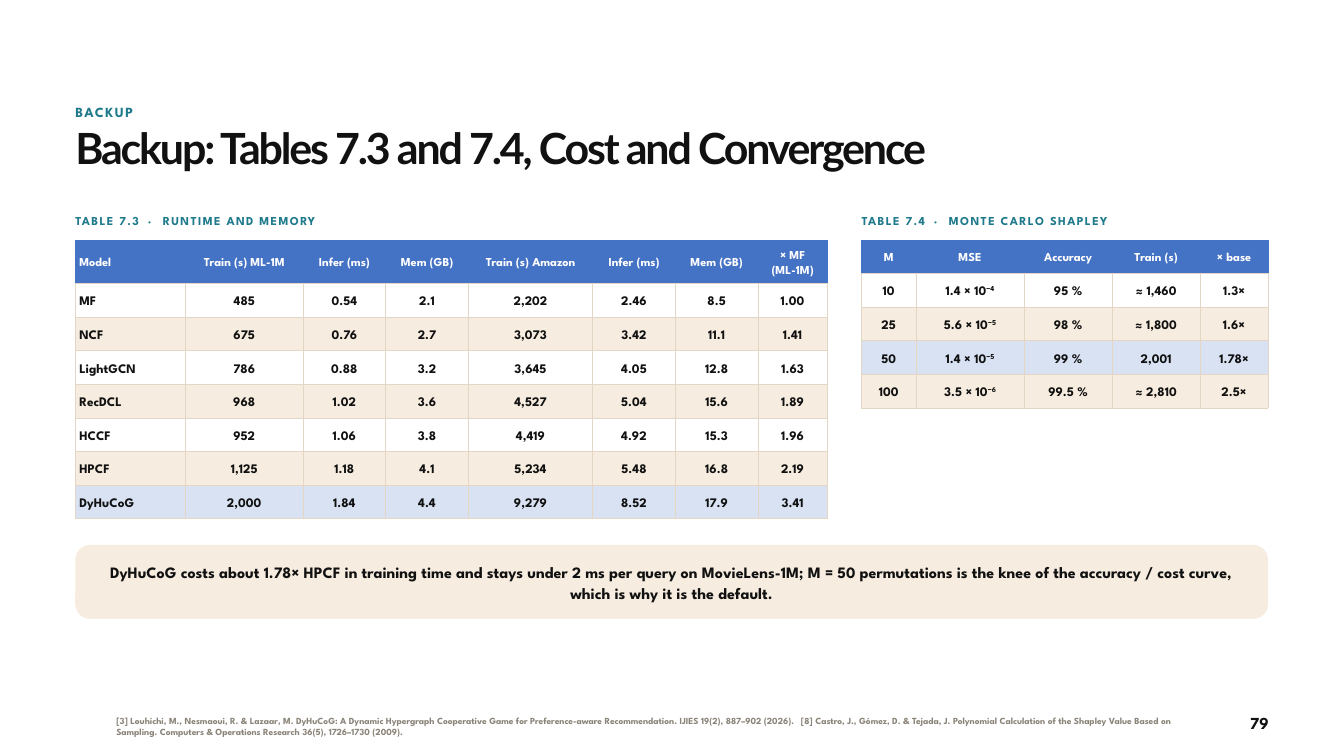
from dataclasses import dataclass

from lxml.etree import SubElement
from pptx import Presentation
from pptx.dml.color import RGBColor
from pptx.enum.shapes import MSO_SHAPE as Preset
from pptx.enum.text import MSO_ANCHOR as Anchor, MSO_AUTO_SIZE as AutoSize, PP_ALIGN as Align
from pptx.oxml.ns import qn
from pptx.util import Inches, Pt


@dataclass(frozen=True)
class Style:
    """Type settings for one role of text."""
    size: float
    color: str
    leading: float
    tracking: float = 0
    font: str = "League Spartan"


@dataclass(frozen=True)
class Theme:
    """Colours and type sizes of the slide."""
    white: str = "FFFFFF"
    sand: str = "F6ECDF"
    highlight: str = "D9E2F3"
    header: str = "4472C4"
    rule: str = "E3D6C4"
    eyebrow: Style = Style(15, "1F7A8C", 20, 1.6)
    title: Style = Style(46, "111111", 50.6, -2.3, "Lato")
    caption: Style = Style(13, "1F7A8C", 16, 1.5)
    column_head: Style = Style(13, "FFFFFF", 16.9)
    cell: Style = Style(14, "111111", 18.2)
    takeaway: Style = Style(17, "111111", 22)
    reference: Style = Style(10, "8A8378", 12)
    page: Style = Style(18, "111111", 22)


THEME = Theme()
LEFT, RIGHT, FULL_WIDTH = 1.12, 12.82, 17.75
CAPTION_TOP, TABLE_TOP, ROW_HEIGHT = 3.17, 3.57, 0.5

RUNTIME_COLUMNS = [1.64, 1.75, 1.23, 1.23, 1.85, 1.23, 1.23, 1.03]
RUNTIME_ROWS = [
    ["Model", "Train (s) ML-1M", "Infer (ms)", "Mem (GB)",
     "Train (s) Amazon", "Infer (ms)", "Mem (GB)", "× MF (ML-1M)"],
    ["MF", "485", "0.54", "2.1", "2,202", "2.46", "8.5", "1.00"],
    ["NCF", "675", "0.76", "2.7", "3,073", "3.42", "11.1", "1.41"],
    ["LightGCN", "786", "0.88", "3.2", "3,645", "4.05", "12.8", "1.63"],
    ["RecDCL", "968", "1.02", "3.6", "4,527", "5.04", "15.6", "1.89"],
    ["HCCF", "952", "1.06", "3.8", "4,419", "4.92", "15.3", "1.96"],
    ["HPCF", "1,125", "1.18", "4.1", "5,234", "5.48", "16.8", "2.19"],
    ["DyHuCoG", "2,000", "1.84", "4.4", "9,279", "8.52", "17.9", "3.41"],
]
SHAPLEY_COLUMNS = [0.81, 1.61, 1.31, 1.31, 1.01]
SHAPLEY_ROWS = [
    ["M", "MSE", "Accuracy", "Train (s)", "× base"],
    ["10", "1.4 × 10^−4", "95 %", "≈ 1,460", "1.3×"],
    ["25", "5.6 × 10^−5", "98 %", "≈ 1,800", "1.6×"],
    ["50", "1.4 × 10^−5", "99 %", "2,001", "1.78×"],
    ["100", "3.5 × 10^−6", "99.5 %", "≈ 2,810", "2.5×"],
]
TAKEAWAY = (
    "DyHuCoG costs about 1.78× HPCF in training time and stays under 2 ms per query on "
    "MovieLens-1M; M = 50 permutations is the knee of the accuracy / cost curve, "
    "which is why it is the default."
)
REFERENCES = [
    "[3] Louhichi, M., Nesmaoui, R. & Lazaar, M. DyHuCoG: A Dynamic Hypergraph Cooperative "
    "Game for Preference-aware Recommendation. IJIES 19(2), 887–902 (2026).",
    "[8] Castro, J., Gómez, D. & Tejada, J. Polynomial Calculation of the Shapley Value Based "
    "on Sampling. Computers & Operations Research 36(5), 1726–1730 (2009).",
]


def box(left, top, width, height):
    """Return a position and size as lengths."""
    return [Inches(value) for value in (left, top, width, height)]


def add_run(paragraph, text, style, tracking=None, baseline=0):
    """Append a run in the given style."""
    run = paragraph.add_run()
    run.text = text
    formats = {"name": style.font, "size": Pt(style.size), "bold": True}
    for name, value in formats.items():
        setattr(run.font, name, value)
    run.font.color.rgb = RGBColor.from_string(style.color)
    spacing = style.tracking if tracking is None else tracking
    properties = run._r.get_or_add_rPr()
    for name, value in {"spc": round(spacing * 100), "baseline": baseline}.items():
        if value:
            properties.set(name, str(value))


def start_paragraph(frame, style, align=Align.LEFT):
    """Format the first paragraph of a frame and return it."""
    paragraph = frame.paragraphs[0]
    formats = {"alignment": align, "line_spacing": Pt(style.leading), "space_before": Pt(0)}
    for name, value in formats.items():
        setattr(paragraph, name, value)
    return paragraph


def set_frame(frame, anchor=Anchor.TOP, side=0, edge=0):
    """Set wrapping, anchor and margins of a text frame."""
    formats = {
        "word_wrap": True, "auto_size": AutoSize.NONE, "vertical_anchor": anchor,
        "margin_left": Inches(side), "margin_right": Inches(side),
        "margin_top": Inches(edge), "margin_bottom": Inches(edge),
    }
    for name, value in formats.items():
        setattr(frame, name, value)


def add_label(slide, place, parts, style, gap="", gap_tracking=0, align=Align.LEFT, anchor=Anchor.TOP):
    """Add a text box whose parts are joined by a widely tracked gap."""
    frame = slide.shapes.add_textbox(*box(*place)).text_frame
    set_frame(frame, anchor)
    paragraph = start_paragraph(frame, style, align)
    for index, part in enumerate(parts):
        if index:
            add_run(paragraph, gap, style, gap_tracking)
        add_run(paragraph, part, style)


def set_title(slide, text):
    """Place and format the title placeholder."""
    title = slide.shapes.title
    title.left, title.top, title.width, title.height = box(LEFT, 1.88, FULL_WIDTH, 0.8)
    set_frame(title.text_frame)
    add_run(start_paragraph(title.text_frame, THEME.title), text, THEME.title)


def set_borders(cell, color):
    """Draw one-point lines on all four sides of a cell."""
    properties = cell._tc.get_or_add_tcPr()
    for index, side in enumerate(("lnL", "lnR", "lnT", "lnB")):
        line = SubElement(properties, qn(f"a:{side}"), w=str(Pt(1)))
        SubElement(SubElement(line, qn("a:solidFill")), qn("a:srgbClr"), val=color)
        properties.insert(index, line)


def fill_cell(cell, text, style, align, fill, border):
    """Write a cell, raising whatever follows a caret."""
    formats = {"vertical_anchor": Anchor.MIDDLE}
    formats |= {f"margin_{side}": Inches(0.06) for side in ("left", "right")}
    formats |= {f"margin_{side}": Inches(0.05) for side in ("top", "bottom")}
    for name, value in formats.items():
        setattr(cell, name, value)
    cell.fill.solid()
    cell.fill.fore_color.rgb = RGBColor.from_string(fill)
    set_borders(cell, border)
    base, _, exponent = text.partition("^")
    paragraph = start_paragraph(cell.text_frame, style, align)
    add_run(paragraph, base, style)
    if exponent:
        add_run(paragraph, exponent, style, baseline=30000)


def add_results(slide, left, caption, columns, rows, chosen, head_height=ROW_HEIGHT, named_rows=False):
    """Add a captioned table with a header, bands and one chosen row."""
    width = sum(columns)
    add_label(slide, (left, CAPTION_TOP, width, 0.35), caption, THEME.caption, " · ", 4.5)
    height = head_height + ROW_HEIGHT * (len(rows) - 1)
    table = slide.shapes.add_table(
        len(rows), len(columns), *box(left, TABLE_TOP, width, height)).table
    table.first_row = table.horz_banding = False
    for column, column_width in zip(table.columns, columns):
        column.width = Inches(column_width)
    for r, values in enumerate(rows):
        table.rows[r].height = Inches(ROW_HEIGHT if r else head_height)
        style = THEME.cell if r else THEME.column_head
        band = THEME.white if r % 2 else THEME.sand
        fill = THEME.highlight if values[0] == chosen else band if r else THEME.header
        border = THEME.rule if r else THEME.header
        for c, text in enumerate(values):
            align = Align.LEFT if named_rows and c == 0 else Align.CENTER
            fill_cell(table.cell(r, c), text, style, align, fill, border)


def add_takeaway(slide, text):
    """Add the rounded banner with the conclusion."""
    banner = slide.shapes.add_shape(Preset.ROUNDED_RECTANGLE, *box(LEFT, 8.11, FULL_WIDTH, 1.1))
    banner.adjustments[0] = 0.2
    banner.shadow.inherit = False
    banner.fill.solid()
    banner.fill.fore_color.rgb = RGBColor.from_string(THEME.sand)
    banner.line.fill.background()
    set_frame(banner.text_frame, Anchor.MIDDLE, 0.4, 0.05)
    add_run(start_paragraph(banner.text_frame, THEME.takeaway, Align.CENTER), text, THEME.takeaway)


def main():
    """Build the slide and save it."""
    deck = Presentation()
    deck.slide_width, deck.slide_height = Inches(20), Inches(11.25)
    slide = deck.slides.add_slide(deck.slide_layouts[5])
    add_label(slide, (LEFT, 1.52, 14.15, 0.36), ["BACKUP"], THEME.eyebrow)
    set_title(slide, "Backup: Tables 7.3 and 7.4, Cost and Convergence")
    add_results(slide, LEFT, ["TABLE 7.3", "RUNTIME AND MEMORY"], RUNTIME_COLUMNS,
                RUNTIME_ROWS, "DyHuCoG", head_height=0.65, named_rows=True)
    add_results(slide, RIGHT, ["TABLE 7.4", "MONTE CARLO SHAPLEY"], SHAPLEY_COLUMNS,
                SHAPLEY_ROWS, "50")
    add_takeaway(slide, TAKEAWAY)
    add_label(slide, (1.73, 10.5, 15.85, 0.62), REFERENCES, THEME.reference, " ", 5,
              anchor=Anchor.MIDDLE)
    add_label(slide, (17.68, 10.6, 1.2, 0.36), ["79"], THEME.page, align=Align.RIGHT)
    deck.save("out.pptx")


if __name__ == "__main__":
    main()
